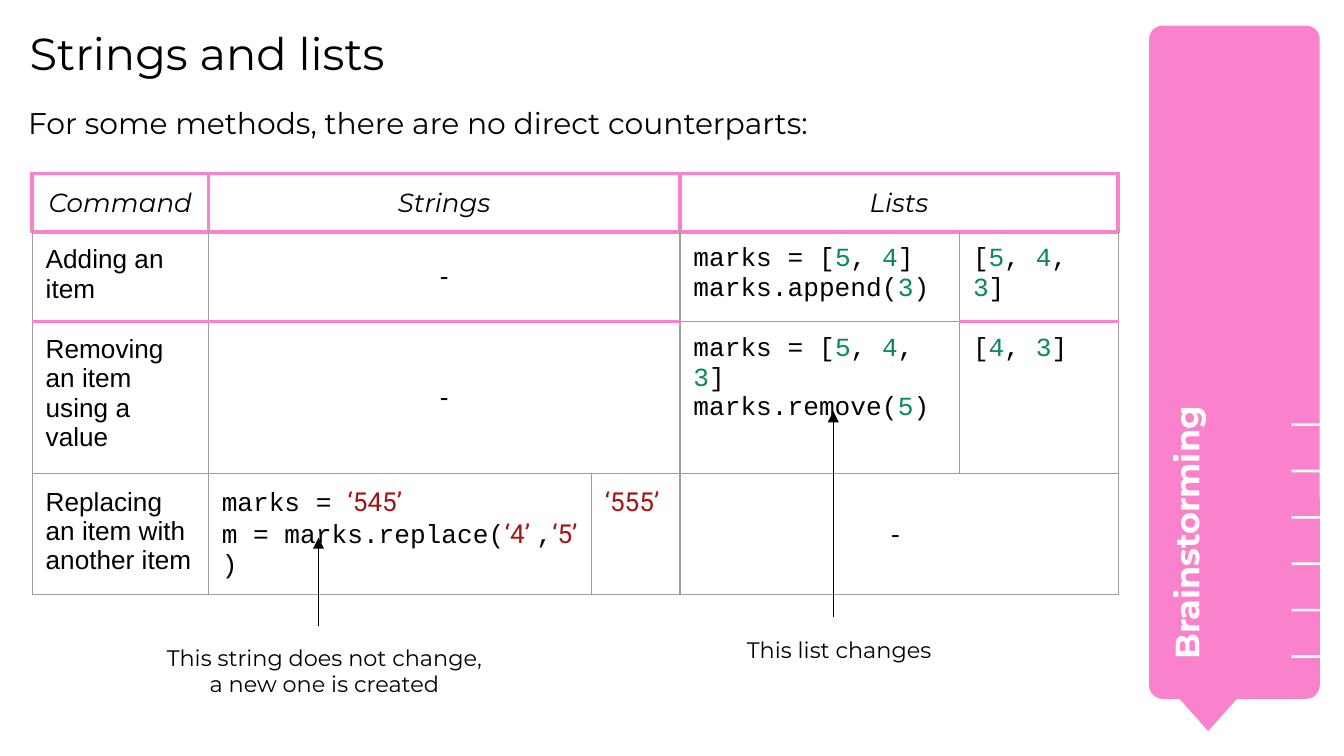
from lxml.etree import SubElement
from pptx import Presentation
from pptx.dml.color import RGBColor as RGB
from pptx.enum.shapes import MSO_CONNECTOR as Conn, MSO_SHAPE as Kind
from pptx.enum.text import MSO_ANCHOR as Anchor, PP_ALIGN as Align
from pptx.oxml.ns import qn
from pptx.util import Inches as In, Pt

HUES = {"pink": "FA82CC", "gray": "9E9E9E", "white": "FFFFFF",
        "black": "000000", "green": "09885A", "red": "A31515"}
HEAD, PLAIN, CODE, QUOTE = "Montserrat", "Arial", "Courier New", "Roboto"


def write(frame, text, font, size, hue="black", align=Align.LEFT, pad=0.1,
          **style):
    """Fill a frame; the pieces between bars are coloured values."""
    frame.word_wrap = True
    frame.margin_left = frame.margin_right = In(pad)
    frame.margin_top = frame.margin_bottom = In(pad)
    for i, line in enumerate(text.split("\n")):
        para = frame.add_paragraph() if i else frame.paragraphs[0]
        para.alignment = align
        para.space_before = Pt(0)
        for j, piece in enumerate(line.split("|")):
            if not piece:
                continue
            run = para.add_run()
            run.text = piece
            face, tint = font, hue
            if j % 2:
                face, tint = (QUOTE, "red") if "‘" in piece else (font, "green")
            run.font.name, run.font.size = face, Pt(size)
            run.font.color.rgb = RGB.from_string(HUES[tint])
            for key, value in style.items():
                setattr(run.font, key, value)


def edge(cell, side, hue, width):
    props = cell._tc.get_or_add_tcPr()
    line = SubElement(props, qn("a:ln" + side), w=str(Pt(width)))
    fill = SubElement(line, qn("a:solidFill"))
    SubElement(fill, qn("a:srgbClr"), val=HUES[hue])


deck = Presentation()
deck.slide_width = In(10)
deck.slide_height = deck.slide_width * 9 // 16
slide = deck.slides.add_slide(deck.slide_layouts[1])
shapes = slide.shapes

# Title and lead sentence
title, lead = slide.placeholders
title.left, title.top, title.width, title.height = In(0.22), In(0.19), In(7.73), In(0.55)
title.text_frame.vertical_anchor = Anchor.TOP
write(title.text_frame, "Strings and lists", HEAD, 24, pad=0)

lead.left, lead.top, lead.width, lead.height = In(0.11), In(0.68), In(7.73), In(0.46)
props = lead.text_frame.paragraphs[0]._p.get_or_add_pPr()
props.set("marL", "0")
props.set("indent", "0")
SubElement(props, qn("a:buNone"))
write(lead.text_frame, "For some methods, there are no direct counterparts:", HEAD, 16)

# Side tag with ruler ticks
parts = [(Kind.ROUNDED_RECTANGLE, 8.55, 0.19, 1.27, 5.01, "pink"),
         (Kind.FLOWCHART_MERGE, 8.66, 5.07, 0.66, 0.37, "pink")]
parts += [(Kind.RECTANGLE, 9.61, 3.15 + 0.345 * i, 0.21, 0.02, "white")
          for i in range(6)]
for kind, x, y, w, h, hue in parts:
    part = shapes.add_shape(kind, In(x), In(y), In(w), In(h))
    part.shadow.inherit = False
    part.fill.solid()
    part.fill.fore_color.rgb = RGB.from_string(HUES[hue])
    part.line.fill.background()
    if kind == Kind.ROUNDED_RECTANGLE:
        part.adjustments[0] = 0.08

label = shapes.add_textbox(In(7.14), In(2.9), In(3.54), In(0.67))
label.rotation = 270
write(label.text_frame, "Brainstorming", HEAD, 18, "white", bold=True)

# Table: None marks a cell covered by the one on its left
rows = [
    ["Command", "Strings", None, "Lists", None],
    ["Adding an item", "-", None,
     "marks = [|5|, |4|]\nmarks.append(|3|)", "[|5|, |4|, |3|]"],
    ["Removing an item using a value", "-", None,
     "marks = [|5|, |4|, |3|]\nmarks.remove(|5|)", "[|4|, |3|]"],
    ["Replacing an item with another item",
     "marks = |‘545’|\nm = marks.replace(|‘4’ |,|‘5’ |)", "|‘555’|", "- ", None],
]
wide = [1.31, 2.85, 0.66, 2.08, 1.18]
high = 0.42  # least height; rows grow with their text
table = shapes.add_table(len(rows), len(wide), In(0.24), In(1.29),
                         In(sum(wide)), In(high * len(rows))).table
table.first_row = table.horz_banding = False
for col, w in zip(table.columns, wide):
    col.width = In(w)
for row in table.rows:
    row.height = In(high)

for r, row in enumerate(rows):
    for c, text in enumerate(row):
        cell = table.cell(r, c)
        for side in "LRTB":
            bold = (r == 0 or (r == 1 and side == "T")
                    or (c != 3 and (r, side) in [(1, "B"), (2, "T")]))
            edge(cell, side, *(("pink", 2.25) if bold else ("gray", 0.75)))
        cell.fill.background()
        cell.margin_left = cell.margin_right = In(0.1)
        cell.margin_top = cell.margin_bottom = In(0.1)
        if text is None:
            table.cell(r, c - 1).merge(cell)
        elif r == 0:
            write(cell.text_frame, text, HEAD, 14, align=Align.CENTER, italic=True)
        elif text.strip() == "-":
            cell.vertical_anchor = Anchor.MIDDLE
            write(cell.text_frame, text, PLAIN, 14, align=Align.CENTER)
        else:
            write(cell.text_frame, text, CODE if c else PLAIN, 14)

# Notes with arrows that point up into the code
notes = [("This string does not change, a new one is created", 1.1, 4.69, 2.37, 4.66, 4),
         ("This list changes", 4.93, 4.63, 6.2, 4.59, 3.06)]
for text, x, y, mid, low, top in notes:
    arrow = shapes.add_connector(Conn.STRAIGHT, In(mid), In(low), In(mid), In(top))
    arrow.line.color.rgb = RGB.from_string(HUES["black"])
    arrow.line.width = Pt(0.75)
    SubElement(arrow.line._get_or_add_ln(), qn("a:tailEnd"), type="triangle")
    SubElement(arrow._element.spPr, qn("a:effectLst"))
    note = shapes.add_textbox(In(x), In(y), In(2.63), In(0.7))
    write(note.text_frame, text, HEAD, 12, align=Align.CENTER)

deck.save("out.pptx")
